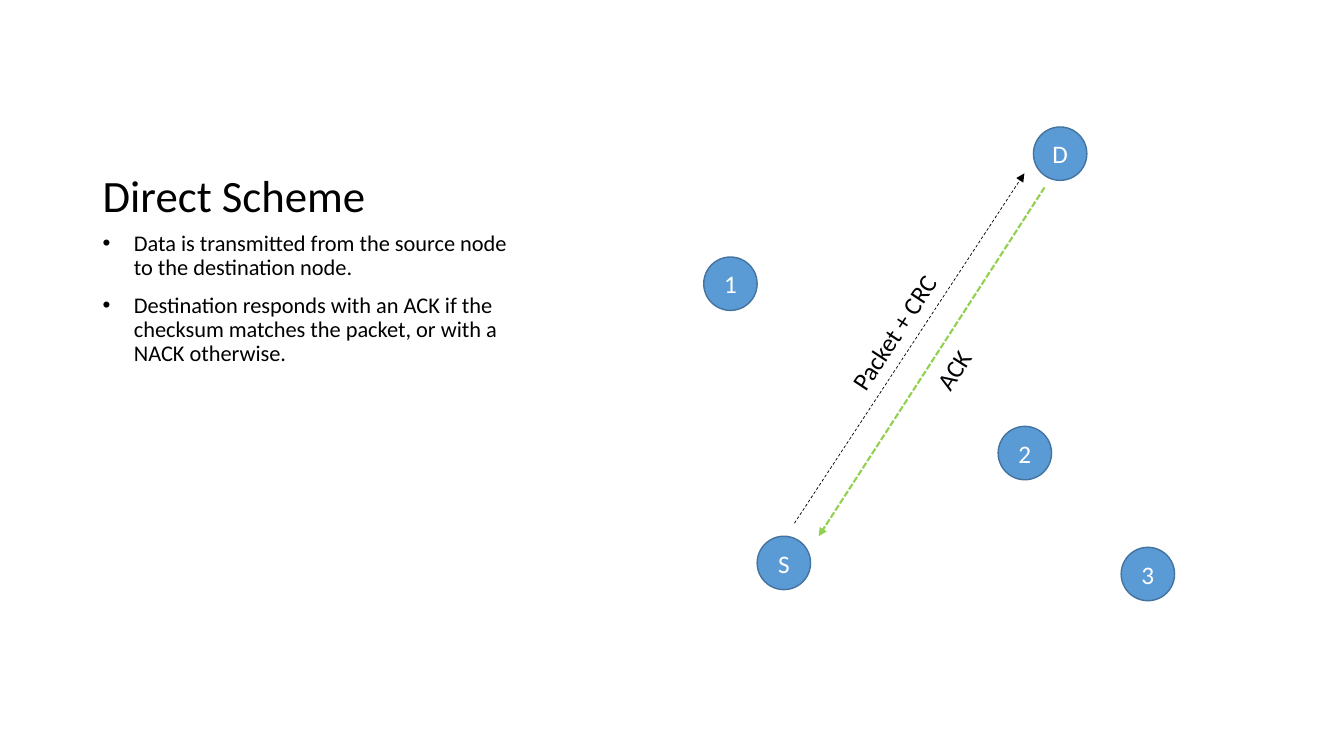
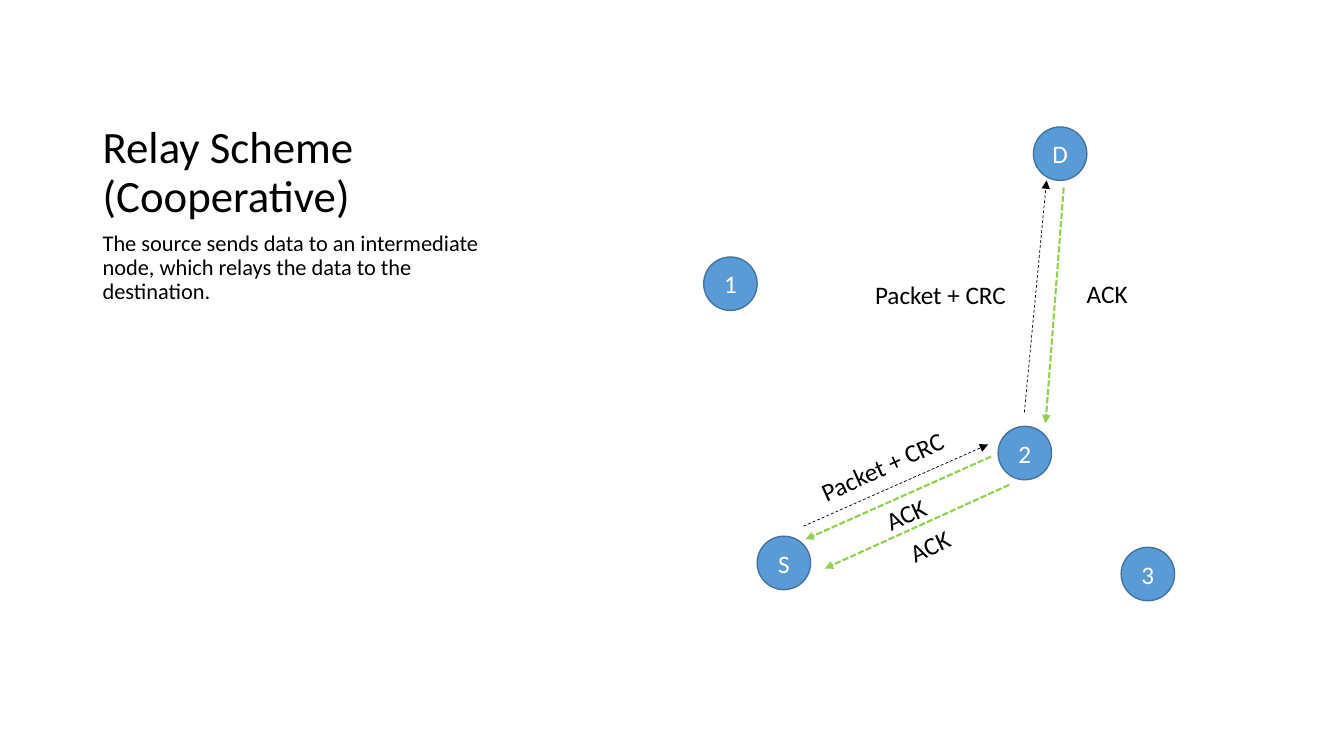
from lxml.etree import SubElement
from pptx import Presentation
from pptx.dml.color import RGBColor
from pptx.enum.dml import MSO_LINE
from pptx.enum.shapes import MSO_CONNECTOR, MSO_SHAPE
from pptx.enum.text import MSO_ANCHOR, MSO_AUTO_SIZE, PP_ALIGN
from pptx.oxml.ns import qn
from pptx.util import Inches, Pt

COLORS = {
    "text": "000000",
    "node": "5B9BD5",
    "node_edge": "43739E",
    "node_text": "FFFFFF",
    "packet": "000000",
    "ack": "92D050",
}
FONT = "Calibri"
TEXT_LEFT, TEXT_WIDTH = 0.92, 4.3
NODE_SIZE = 0.53
NODES = {
    "S": (7.51, 5.32),
    "3": (11.12, 5.43),
    "1": (6.98, 2.55),
    "2": (9.9, 4.23),
    "D": (10.25, 1.26),
}
# Message kind: label, label width, line width, dash
MESSAGES = {
    "packet": ("Packet + CRC", 1.52, 0.5, MSO_LINE.DASH),
    "ack": ("ACK", 0.61, 1.5, MSO_LINE.SQUARE_DOT),
}
LABEL_HEIGHT = 0.4


def color(name):
    """Return a palette colour."""
    return RGBColor.from_string(COLORS[name])


def add_span(para, text, size, color_name="text"):
    """Add one styled run to a paragraph."""
    span = para.add_run()
    span.text = text
    span.font.size = Pt(size)
    span.font.name = FONT
    span.font.color.rgb = color(color_name)


def add_bullet(para):
    """Give a paragraph a hanging round bullet."""
    properties = para._p.get_or_add_pPr()
    properties.set("marL", str(Inches(0.31)))
    properties.set("indent", str(Inches(-0.31)))
    SubElement(properties, qn("a:buFont")).set("typeface", "Arial")
    SubElement(properties, qn("a:buChar")).set("char", "•")


def add_text_block(page, top, height, lines, size, space=0, bullets=False,
                   anchor=MSO_ANCHOR.TOP):
    """Add wrapped paragraphs in the left column."""
    box = page.shapes.add_textbox(Inches(TEXT_LEFT), Inches(top),
                                  Inches(TEXT_WIDTH), Inches(height))
    frame = box.text_frame
    frame.word_wrap = True
    frame.vertical_anchor = anchor
    for index, line in enumerate(lines):
        para = frame.add_paragraph() if index else frame.paragraphs[0]
        para.line_spacing = 0.9
        para.space_before = Pt(space)
        if bullets:
            add_bullet(para)
        add_span(para, line, size)


def add_node(page, name, left, top):
    """Add a round network node."""
    node = page.shapes.add_shape(MSO_SHAPE.OVAL, Inches(left), Inches(top),
                                 Inches(NODE_SIZE), Inches(NODE_SIZE))
    node.shadow.inherit = False
    node.fill.solid()
    node.fill.fore_color.rgb = color("node")
    node.line.color.rgb = color("node_edge")
    node.line.width = Pt(1)
    frame = node.text_frame
    frame.vertical_anchor = MSO_ANCHOR.MIDDLE
    para = frame.paragraphs[0]
    para.alignment = PP_ALIGN.CENTER
    add_span(para, name, 18, "node_text")


def add_message(page, kind, start, end, label_at, rotation=0):
    """Add a dashed arrow and its label."""
    text, label_width, line_width, dash = MESSAGES[kind]
    points = [Inches(value) for value in (*start, *end)]
    arrow = page.shapes.add_connector(MSO_CONNECTOR.STRAIGHT, *points)
    arrow.line.color.rgb = color(kind)
    arrow.line.width = Pt(line_width)
    arrow.line.dash_style = dash
    SubElement(arrow.line._get_or_add_ln(), qn("a:tailEnd")).set("type", "triangle")
    SubElement(arrow._element.spPr, qn("a:effectLst"))

    left, top = label_at
    label = page.shapes.add_textbox(Inches(left), Inches(top),
                                    Inches(label_width), Inches(LABEL_HEIGHT))
    label.rotation = rotation
    label.text_frame.word_wrap = False
    label.text_frame.auto_size = MSO_AUTO_SIZE.SHAPE_TO_FIT_TEXT
    add_span(label.text_frame.paragraphs[0], text, 18)


def add_scheme(deck, title, lines, messages, bullets=False):
    """Add a page with title, text and the network with its messages."""
    page = deck.slides.add_slide(deck.slide_layouts[6])
    add_text_block(page, 0.5, 1.75, [title], 32, anchor=MSO_ANCHOR.BOTTOM)
    add_text_block(page, 2.25, 4.17, lines, 16, space=10, bullets=bullets)
    for name, (left, top) in NODES.items():
        add_node(page, name, left, top)
    for message in messages:
        add_message(page, *message)


def main():
    """Build and save the deck."""
    deck = Presentation()
    deck.slide_width, deck.slide_height = Inches(13.33), Inches(7.5)
    add_scheme(
        deck, "Direct Scheme",
        ["Data is transmitted from the source node to the destination node.",
         "Destination responds with an ACK if the checksum matches the packet, "
         "or with a NACK otherwise."],
        [("packet", (7.88, 5.19), (10.16, 1.72), (8.11, 3.09), 303.4),
         ("ack", (10.36, 1.86), (8.12, 5.32), (9.15, 3.47), 302.3)],
        bullets=True)
    add_scheme(
        deck, "Relay Scheme (Cooperative)",
        ["The source sends data to an intermediate node, which relays the data "
         "to the destination."],
        [("packet", (7.97, 5.22), (9.8, 4.41), (8, 4.42), 335.6),
         ("ack", (9.83, 4.53), (7.99, 5.35), (8.68, 4.9), 335),
         ("packet", (10.16, 4.09), (10.38, 1.79), (8.58, 2.72)),
         ("ack", (10.55, 1.86), (10.37, 4.2), (10.68, 2.71)),
         ("ack", (10.01, 4.81), (8.18, 5.64), (8.92, 5.21), 334.9)])
    deck.save("out.pptx")


main()
